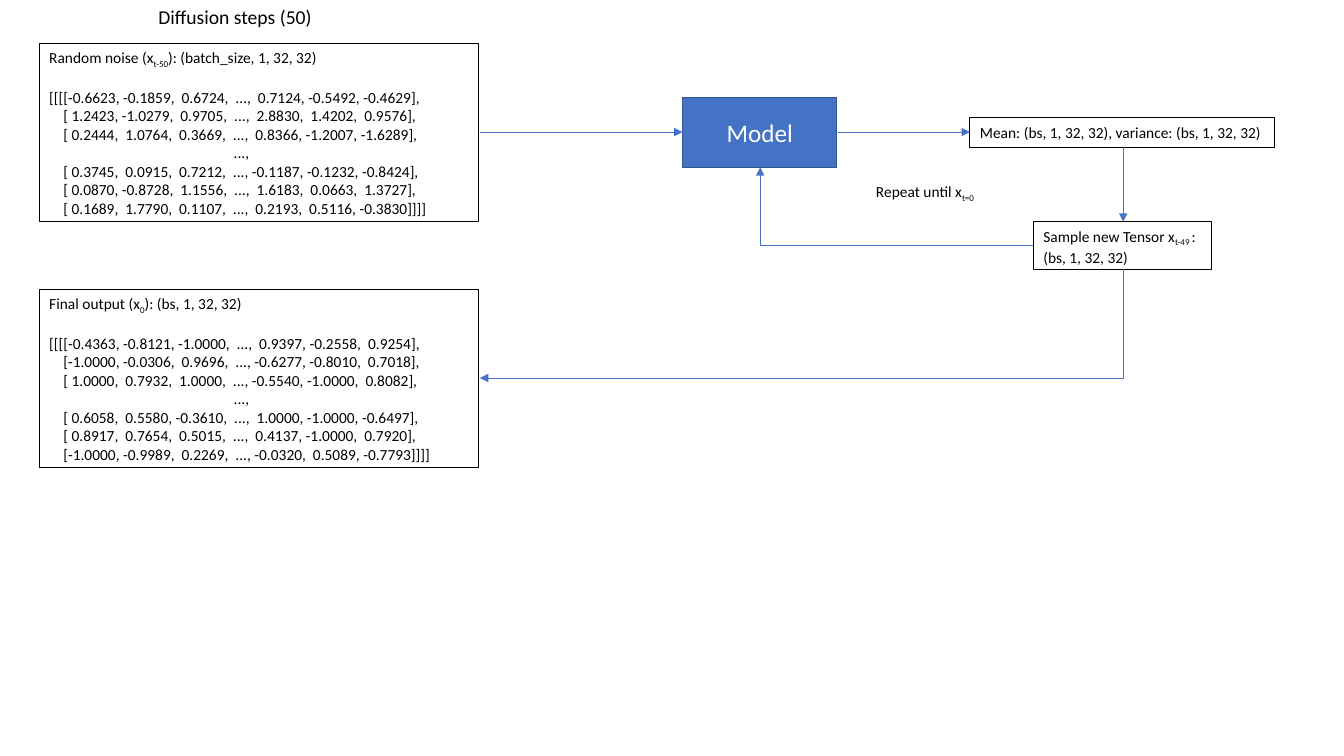
"""Builds a one-slide diagram of the sampling loop of a diffusion model."""
from dataclasses import dataclass

from lxml import etree
from pptx import Presentation
from pptx.dml.color import RGBColor
from pptx.enum import shapes, text
from pptx.oxml import ns
from pptx.util import Inches, Pt


@dataclass(frozen=True)
class Theme:
    font: str = "Calibri"
    ink: RGBColor = RGBColor(0x00, 0x00, 0x00)
    paper: RGBColor = RGBColor(0xFF, 0xFF, 0xFF)
    accent: RGBColor = RGBColor(0x44, 0x72, 0xC4)
    accent_edge: RGBColor = RGBColor(0x32, 0x54, 0x91)
    title: int = 14
    model: int = 18
    body: int = 11


theme = Theme()


def write(frame, lines, size=theme.body, color=theme.ink, wrap=True,
          align=text.PP_ALIGN.LEFT, anchor=text.MSO_ANCHOR.TOP):
    """Fills a text frame; a stretch between bars becomes a subscript."""
    frame.word_wrap = wrap
    frame.auto_size = text.MSO_AUTO_SIZE.NONE
    frame.vertical_anchor = anchor
    frame.margin_left = frame.margin_right = Inches(0.1)
    frame.margin_top = frame.margin_bottom = Inches(0.05)
    for number, line in enumerate(lines):
        paragraph = frame.add_paragraph() if number else frame.paragraphs[0]
        paragraph.alignment = align
        for part, wording in enumerate(line.split("|")):
            run = paragraph.add_run()
            run.text = wording
            run.font.name, run.font.size = theme.font, Pt(size)
            run.font.color.rgb = color
            if part % 2:
                run.font._element.set("baseline", "-25000")


def box(left, top, width, height, lines, fill=None, edge=theme.ink, weight=0.75, **style):
    """Adds a bordered rectangle with its text."""
    shape = slide.shapes.add_shape(shapes.MSO_SHAPE.RECTANGLE, Inches(left),
                                   Inches(top), Inches(width), Inches(height))
    shape.shadow.inherit = False
    if fill is None:
        shape.fill.background()
    else:
        shape.fill.solid()
        shape.fill.fore_color.rgb = fill
    shape.line.color.rgb, shape.line.width = edge, Pt(weight)
    write(shape.text_frame, lines, **style)
    return shape


deck = Presentation()
deck.slide_width, deck.slide_height = Inches(13.33), Inches(7.5)
slide = deck.slides.add_slide(deck.slide_layouts.get_by_name("Title Only"))

title = slide.shapes.title
title.left, title.top, title.width, title.height = map(Inches, (1.47, 0, 1.74, 0.34))
write(title.text_frame, ["Diffusion steps (50)"], size=theme.title, wrap=False)

tensors = [
    (0.43, "Random noise (x|t-50|): (batch_size, 1, 32, 32)", [
        (-0.6623, -0.1859, 0.6724, 0.7124, -0.5492, -0.4629),
        (1.2423, -1.0279, 0.9705, 2.8830, 1.4202, 0.9576),
        (0.2444, 1.0764, 0.3669, 0.8366, -1.2007, -1.6289),
        (0.3745, 0.0915, 0.7212, -0.1187, -0.1232, -0.8424),
        (0.0870, -0.8728, 1.1556, 1.6183, 0.0663, 1.3727),
        (0.1689, 1.7790, 0.1107, 0.2193, 0.5116, -0.3830)]),
    (2.87, "Final output (x|0|): (bs, 1, 32, 32)", [
        (-0.4363, -0.8121, -1.0000, 0.9397, -0.2558, 0.9254),
        (-1.0000, -0.0306, 0.9696, -0.6277, -0.8010, 0.7018),
        (1.0000, 0.7932, 1.0000, -0.5540, -1.0000, 0.8082),
        (0.6058, 0.5580, -0.3610, 1.0000, -1.0000, -0.6497),
        (0.8917, 0.7654, 0.5015, 0.4137, -1.0000, 0.7920),
        (-1.0000, -0.9989, 0.2269, -0.0320, 0.5089, -0.7793)]),
]
for top, heading, values in tensors:
    rows = []
    for index, row in enumerate(values):
        cells = [f"{value: .4f}" for value in row]
        opening = "[" if index else "[[[["
        closing = "]]]]" if index == len(values) - 1 else "],"
        rows.append(opening + ",".join(
            [cells[0], *(" " + cell for cell in cells[1:3]), "  ...",
             *(" " + cell for cell in cells[3:])]) + closing)
    rows.insert(3, "...,")
    tensor = box(0.39, top, 4.36, 1.77, [heading, *rows])
    paragraphs = tensor.text_frame.paragraphs
    paragraphs[0].space_after = Pt(13.4)
    for paragraph, row in zip(paragraphs[2:], rows[1:]):
        indent = 1.83 if row == "...," else 0.14
        paragraph._p.get_or_add_pPr().set("marL", str(Inches(indent)))

box(6.77, 0.97, 1.53, 0.69, ["Model"], fill=theme.accent, edge=theme.accent_edge,
    weight=1, size=theme.model, color=theme.paper,
    align=text.PP_ALIGN.CENTER, anchor=text.MSO_ANCHOR.MIDDLE)
box(9.62, 1.17, 3.02, 0.29, ["Mean: (bs, 1, 32, 32), variance: (bs, 1, 32, 32)"], wrap=False)
box(10.25, 2.2, 1.77, 0.47, ["Sample new Tensor x|t-49 |:", "(bs, 1, 32, 32)"])

repeat = slide.shapes.add_textbox(Inches(8.59), Inches(1.76), Inches(1.24), Inches(0.29))
write(repeat.text_frame, ["Repeat until x|t=0 |"], wrap=False)

straight, elbow = shapes.MSO_CONNECTOR.STRAIGHT, shapes.MSO_CONNECTOR.ELBOW
arrows = [
    (straight, 4.76, 1.31, 6.77, 1.31, 0),
    (straight, 8.31, 1.31, 9.62, 1.31, 0),
    (straight, 11.14, 1.46, 11.14, 2.2, 0),
    (elbow, 10.25, 2.43, 7.54, 1.66, 0),
    (elbow, 7.41, 0.02, 8.49, 6.4, 90),
]
for kind, *ends, turn in arrows:
    arrow = slide.shapes.add_connector(kind, *map(Inches, ends))
    arrow.line.color.rgb, arrow.line.width = theme.accent, Pt(0.5)
    properties = arrow._element.spPr
    etree.SubElement(arrow.line._get_or_add_ln(), ns.qn("a:tailEnd"), type="triangle")
    etree.SubElement(properties, ns.qn("a:effectLst"))
    if kind == elbow:
        properties.find(ns.qn("a:prstGeom")).set("prst", "bentConnector2")
    if turn:
        properties.find(ns.qn("a:xfrm")).set("rot", str(turn * 60000))

deck.save("out.pptx")
